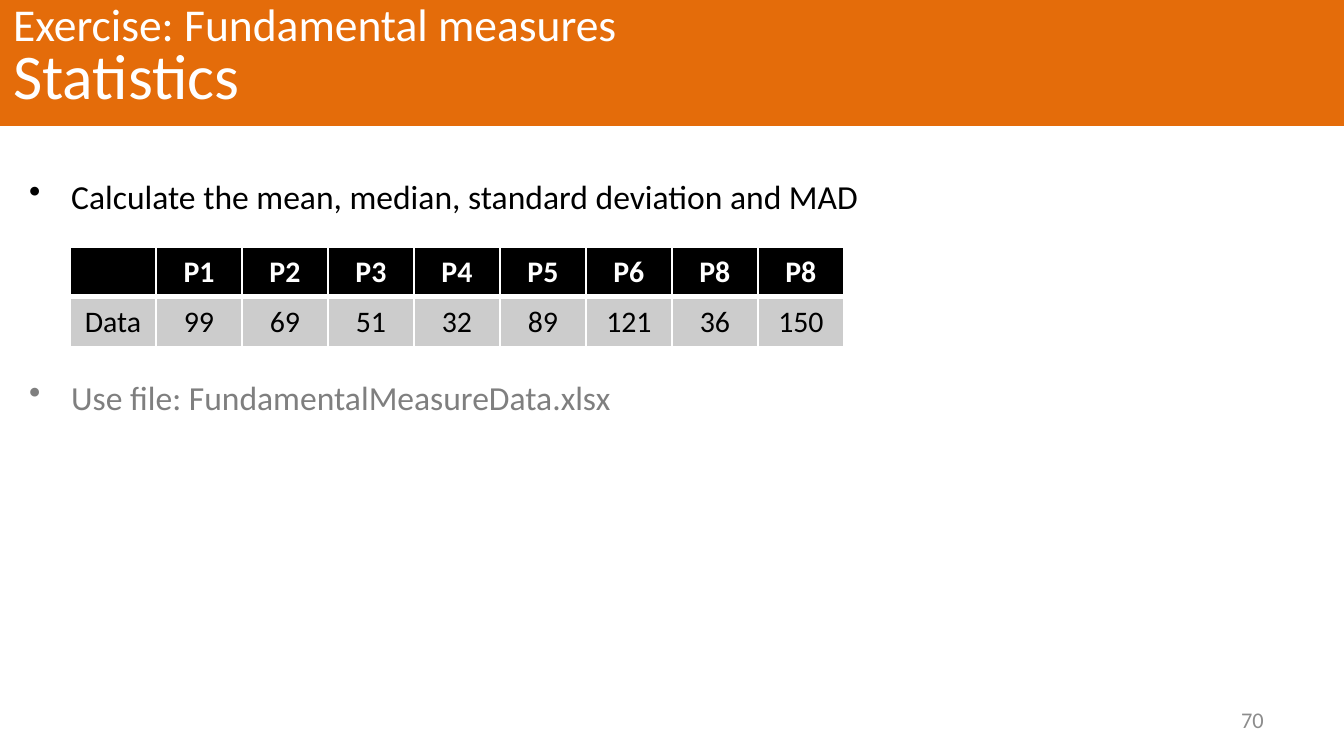
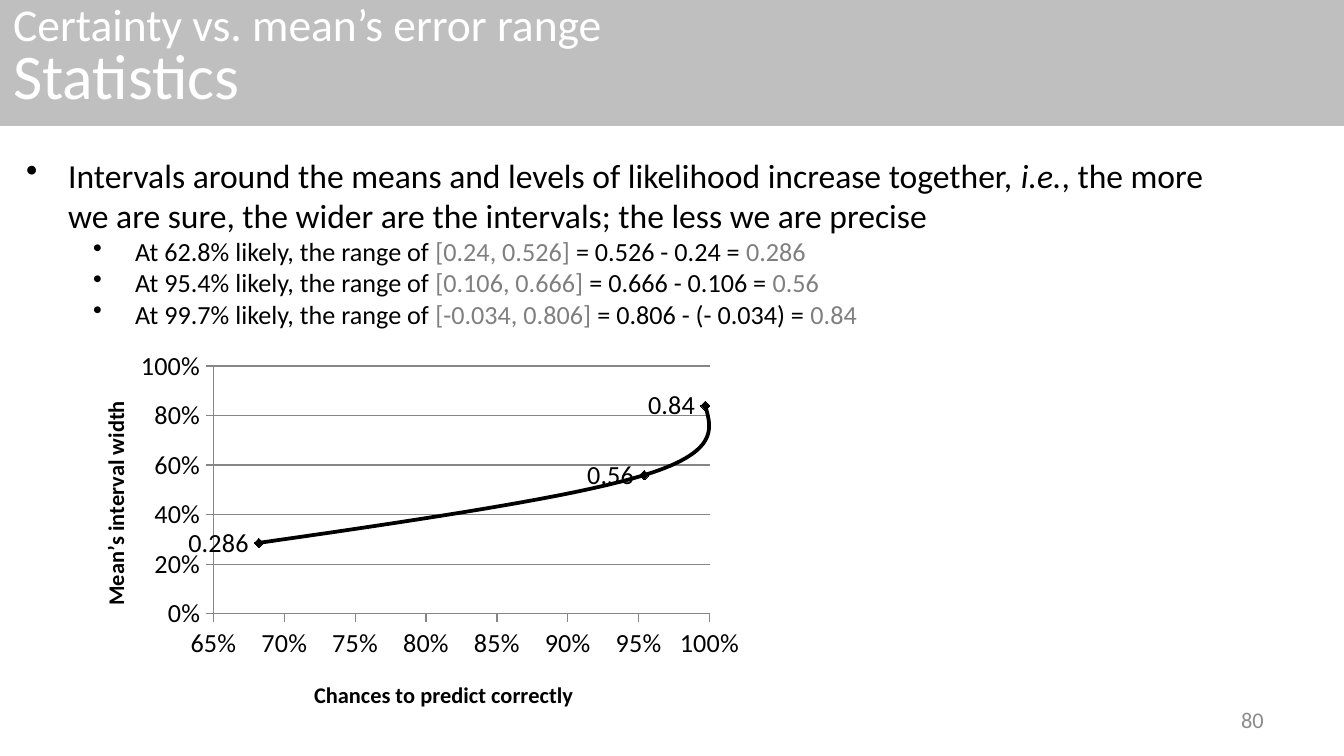
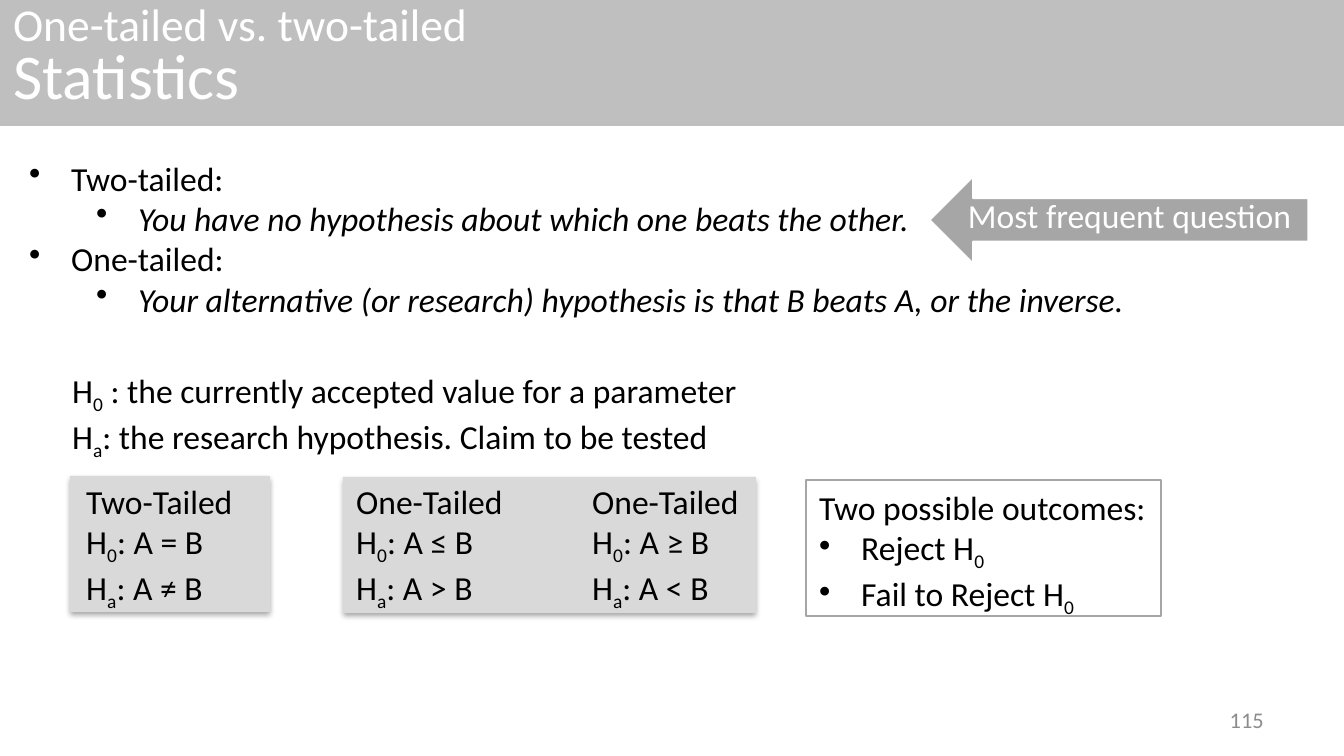
from lxml.etree import SubElement
from pptx import Presentation
from pptx.chart.data import XyChartData
from pptx.chart.datalabel import DataLabels
from pptx.dml.color import RGBColor
from pptx.enum.chart import XL_CHART_TYPE as ChartType
from pptx.enum.chart import XL_LABEL_POSITION as LabelPosition
from pptx.enum.chart import XL_MARKER_STYLE as MarkerStyle
from pptx.enum.chart import XL_TICK_MARK as TickMark
from pptx.enum.shapes import MSO_SHAPE as Shape
from pptx.enum.text import MSO_ANCHOR as Anchor
from pptx.enum.text import PP_ALIGN as Align
from pptx.oxml.ns import qn
from pptx.util import Emu, Pt

WIDTH, HEIGHT = 1344, 756
EMU_PER_PX = 9144000 / WIDTH

BLACK = RGBColor(0x00, 0x00, 0x00)
WHITE = RGBColor(0xFF, 0xFF, 0xFF)
ORANGE = RGBColor(0xE4, 0x6C, 0x0A)
BAND_GRAY = RGBColor(0xBF, 0xBF, 0xBF)
PANEL_GRAY = RGBColor(0xD9, 0xD9, 0xD9)
CELL_GRAY = RGBColor(0xCC, 0xCC, 0xCC)
ARROW_GRAY = RGBColor(0xA6, 0xA6, 0xA6)
TEXT_GRAY = RGBColor(0x7F, 0x7F, 0x7F)
PAGE_GRAY = RGBColor(0x8C, 0x8C, 0x8C)
AXIS_GRAY = RGBColor(0x86, 0x86, 0x86)

FONT = "Calibri"
BULLET_HANG = 42
BULLET_INDENTS = (42, 109)


def px(length):
    return Emu(round(length * EMU_PER_PX))


def span(text, size=18, color=BLACK, bold=False, italic=False, sub=False):
    return dict(text=text, size=size, color=color, bold=bold, italic=italic, sub=sub)


def para(*spans, level=None, align=Align.LEFT, before=0, spacing=None):
    """Describe a paragraph; a level gives it a bullet."""
    return dict(spans=spans, level=level, align=align, before=before, spacing=spacing)


def hypothesis(index, text):
    return para(span("H"), span(index, sub=True), span(text))


def write_paragraph(paragraph, content):
    paragraph.alignment = content["align"]
    if content["before"]:
        paragraph.space_before = Pt(content["before"])
    if content["spacing"]:
        paragraph.line_spacing = content["spacing"]
    if content["level"] is not None:
        paragraph.level = content["level"]
        props = paragraph._p.get_or_add_pPr()
        props.set("marL", str(px(BULLET_INDENTS[content["level"]])))
        props.set("indent", str(-px(BULLET_HANG)))
        SubElement(props, qn("a:buChar")).set("char", "•")
    for item in content["spans"]:
        run = paragraph.add_run()
        run.text = item["text"]
        run.font.name = FONT
        run.font.size = Pt(item["size"])
        run.font.color.rgb = item["color"]
        run.font.bold = item["bold"]
        run.font.italic = item["italic"]
        if item["sub"]:
            run.font._element.set("baseline", "-25000")


def write(frame, paras, anchor=Anchor.TOP):
    frame.word_wrap = True
    frame.vertical_anchor = anchor
    for number, content in enumerate(paras):
        paragraph = frame.add_paragraph() if number else frame.paragraphs[0]
        write_paragraph(paragraph, content)


def set_borders(cell, **widths):
    """Give the cell white borders, in points, keyed by side letter."""
    props = cell._tc.get_or_add_tcPr()
    for side in "LRTB":
        line = SubElement(props, qn(f"a:ln{side}"), w=str(Pt(widths.get(side, 1))))
        fill = SubElement(line, qn("a:solidFill"))
        SubElement(fill, qn("a:srgbClr"), val=str(WHITE))


def place(node, **fractions):
    """Fix a chart part at fractions of the chart's size."""
    layout = node.find(qn("c:layout"))
    if layout is None:
        layout = node.makeelement(qn("c:layout"))
        node.insert(len(node.findall(qn("c:tx"))), layout)
    manual = SubElement(layout, qn("c:manualLayout"))
    if "w" in fractions:
        SubElement(manual, qn("c:layoutTarget"), val="inner")
    for side in "xy":
        SubElement(manual, qn(f"c:{side}Mode"), val="edge")
    for name, value in fractions.items():
        SubElement(manual, qn(f"c:{name}"), val=str(value))


class Deck:
    def __init__(self):
        self.deck = Presentation()
        self.deck.slide_width, self.deck.slide_height = px(WIDTH), px(HEIGHT)
        self.slide = None

    def page(self, title, number, color=BAND_GRAY):
        """Start a slide with its title band and page number."""
        self.slide = self.deck.slides.add_slide(self.deck.slide_layouts[6])
        self.shape((0, 0, WIDTH, 126), color, paras=[
            para(span(title, 24.4, WHITE), spacing=0.8),
            para(span("Statistics", 34.1, WHITE), spacing=0.8),
        ])
        self.text((964, 700, 313, 40),
                  [para(span(str(number), 12, PAGE_GRAY), align=Align.RIGHT)],
                  Anchor.MIDDLE)

    def text(self, box, paras, anchor=Anchor.TOP):
        shape = self.slide.shapes.add_textbox(*map(px, box))
        write(shape.text_frame, paras, anchor)

    def shape(self, box, fill=None, line=None, kind=Shape.RECTANGLE, paras=(),
              anchor=Anchor.TOP):
        shape = self.slide.shapes.add_shape(kind, *map(px, box))
        shape.shadow.inherit = False
        if fill is None:
            shape.fill.background()
        else:
            shape.fill.solid()
            shape.fill.fore_color.rgb = fill
        if line is None:
            shape.line.fill.background()
        else:
            shape.line.color.rgb = line
            shape.line.width = Pt(0.75)
        write(shape.text_frame, paras, anchor)
        return shape

    def panel(self, box):
        """Draw a gray rectangle with a soft shadow below it."""
        effects = self.shape(box, PANEL_GRAY)._element.spPr.find(qn("a:effectLst"))
        shadow = SubElement(effects, qn("a:outerShdw"), blurRad=str(Pt(3.1)),
                            dist=str(Pt(1.8)), dir="5400000", rotWithShape="0")
        color = SubElement(shadow, qn("a:srgbClr"), val=str(BLACK))
        SubElement(color, qn("a:alpha"), val="35000")

    def table(self, box, rows):
        frame = self.slide.shapes.add_table(len(rows), len(rows[0]), *map(px, box))
        for r, row in enumerate(rows):
            header = r == 0
            for c, value in enumerate(row):
                cell = frame.table.cell(r, c)
                set_borders(cell, **({"B": 3} if header else {"T": 3}))
                cell.fill.solid()
                cell.fill.fore_color.rgb = BLACK if header else CELL_GRAY
                cell.vertical_anchor = Anchor.MIDDLE
                paragraph = cell.text_frame.paragraphs[0]
                if value:
                    color = WHITE if header else BLACK
                    write_paragraph(paragraph, para(
                        span(value, 16, color, bold=header), align=Align.CENTER))
                else:
                    SubElement(paragraph._p, qn("a:endParaRPr"), sz="1600")

    def axis(self, axis, title, low, step, **position):
        axis.minimum_scale, axis.maximum_scale, axis.major_unit = low, 1, step
        axis.major_tick_mark = TickMark.OUTSIDE
        axis.minor_tick_mark = TickMark.NONE
        axis.tick_labels.number_format = "0%"
        axis.tick_labels.number_format_is_linked = False
        axis.tick_labels.font.size = Pt(14)
        axis.format.line.color.rgb = AXIS_GRAY
        write_paragraph(axis.axis_title.text_frame.paragraphs[0],
                        para(span(title, 12, bold=True), align=Align.CENTER))
        place(axis.axis_title._element, **position)

    def curve(self, box, points):
        data = XyChartData()
        values = data.add_series("Series 1")
        for x, y in points:
            values.add_data_point(x, y)
        chart = self.slide.shapes.add_chart(
            ChartType.XY_SCATTER_SMOOTH, *map(px, box), data).chart
        chart.has_legend = chart.has_title = False
        chart.font.name, chart.font.size = FONT, Pt(10)
        chart.font.color.rgb = BLACK
        self.axis(chart.category_axis, "Chances to predict correctly", 0.65, 0.05,
                  x=0.36, y=0.86)
        self.axis(chart.value_axis, "Mean’s interval width", 0, 0.2, x=0.05, y=0.14)
        chart.category_axis.has_major_gridlines = False
        chart.value_axis.has_major_gridlines = True
        chart.value_axis.major_gridlines.format.line.color.rgb = AXIS_GRAY
        place(chart._chartSpace.chart.plotArea, x=0.22, y=0.06, w=0.72, h=0.64)

        plot = chart.plots[0]
        plot.vary_by_categories = False
        series = plot.series[0]
        for smooth in series._element.iter(qn("c:smooth")):
            smooth.set("val", "1")
        series.format.line.color.rgb = BLACK
        series.format.line.width = Pt(2)
        series.marker.style, series.marker.size = MarkerStyle.DIAMOND, 5
        series.marker.format.fill.solid()
        series.marker.format.fill.fore_color.rgb = BLACK
        series.marker.format.line.color.rgb = BLACK
        labels = DataLabels(series._element.get_or_add_dLbls())
        labels.show_value = True
        labels.position = LabelPosition.LEFT
        labels.number_format, labels.number_format_is_linked = "General", False
        labels.font.size = Pt(14)


def add_exercise(deck):
    deck.page("Exercise: Fundamental measures", 70, ORANGE)
    deck.text((16, 169, 868, 380), [
        para(span("Calculate the mean, median, standard deviation and MAD"), level=0),
        para(span("Use file: FundamentalMeasureData.xlsx", color=TEXT_GRAY),
             level=0, before=86),
    ])
    deck.table((70, 247, 774, 100), [
        ["", "P1", "P2", "P3", "P4", "P5", "P6", "P8", "P8"],
        ["Data", "99", "69", "51", "32", "89", "121", "36", "150"],
    ])


def add_certainty(deck):
    deck.page("Certainty vs. mean’s error range", 80)
    ranges = [
        ("62.8%", "[0.24, 0.526]", "0.526 - 0.24", "0.286"),
        ("95.4%", "[0.106, 0.666]", "0.666 - 0.106", "0.56"),
        ("99.7%", "[-0.034, 0.806]", "0.806 - (- 0.034)", "0.84"),
    ]
    deck.text((13, 148, 1219, 190), [
        para(span("Intervals around the means and levels of likelihood "
                  "increase together, "),
             span("i.e.", italic=True),
             span(", the more we are sure, the wider are the intervals; "
                  "the less we are precise"), level=0),
        *(para(span(f"At {chance} likely, the range of ", 14),
               span(f"{interval} ", 14, TEXT_GRAY),
               span(f"= {difference} = ", 14),
               span(width, 14, TEXT_GRAY), level=1)
          for chance, interval, difference, width in ranges),
    ])
    deck.curve((62, 343, 689, 387), [(0.682, 0.286), (0.954, 0.56), (0.997, 0.84)])


def add_tails(deck):
    deck.page("One-tailed vs. two-tailed", 115)
    deck.text((16, 151, 1230, 176), [
        para(span("Two-tailed:"), level=0),
        para(span("You have no hypothesis about which one beats the other.",
                  italic=True), level=1),
        para(span("One-tailed:"), level=0),
        para(span("Your alternative (or research) hypothesis is that B beats A, "
                  "or the inverse.", italic=True), level=1),
    ])
    deck.shape((930, 177, 378, 86), ARROW_GRAY, WHITE, Shape.LEFT_ARROW,
               [para(span("Most frequent question", color=WHITE),
                     align=Align.CENTER)], Anchor.BOTTOM)
    deck.text((59, 363, 710, 95), [
        hypothesis("0", " : the currently accepted value for a parameter"),
        hypothesis("a", ": the research hypothesis. Claim to be tested"),
    ])
    deck.panel((70, 476, 200, 136))
    deck.panel((343, 477, 413, 136))
    for left, width, name, null, alternative in [
        (73, 257, "Two-Tailed", "=", "≠"),
        (343, 191, "One-Tailed", "≤", ">"),
        (579, 191, "One-Tailed", "≥", "<"),
    ]:
        deck.text((left, 474, width, 136), [
            para(span(name)),
            hypothesis("0", f": A {null} B"),
            hypothesis("a", f": A {alternative} B"),
        ])
    deck.shape((806, 480, 355, 136), line=ARROW_GRAY, paras=[
        para(span("Two possible outcomes:")),
        *(para(span(f"{outcome} H"), span("0", sub=True), level=0)
          for outcome in ("Reject", "Fail to Reject")),
    ])


def main():
    deck = Deck()
    add_exercise(deck)
    add_certainty(deck)
    add_tails(deck)
    deck.deck.save("out.pptx")


if __name__ == "__main__":
    main()
